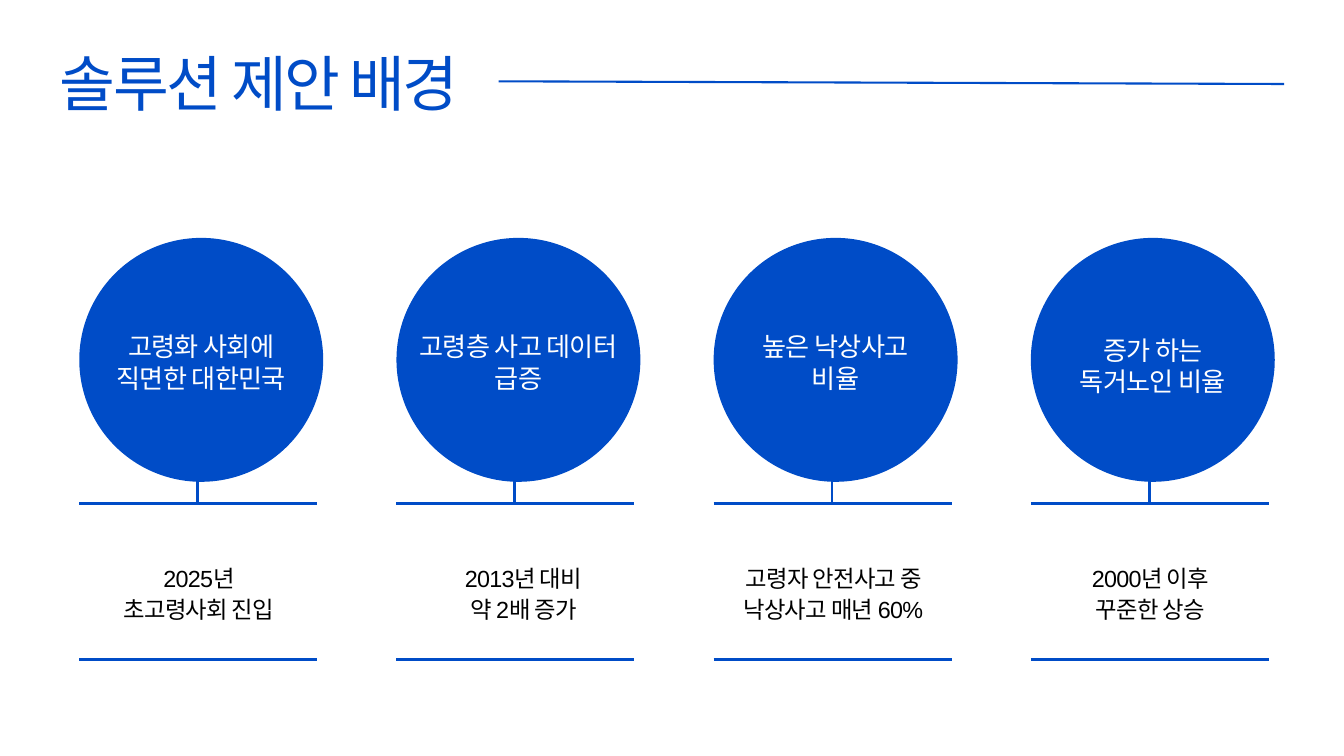
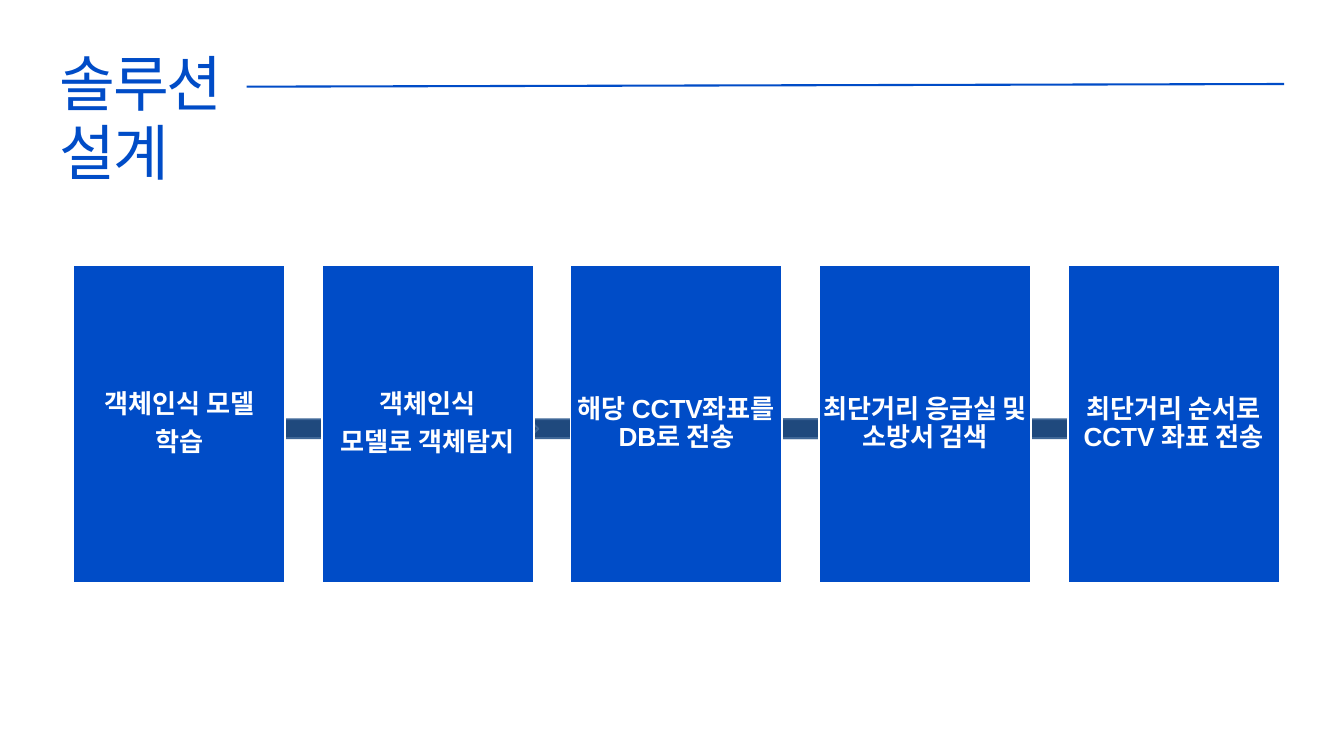
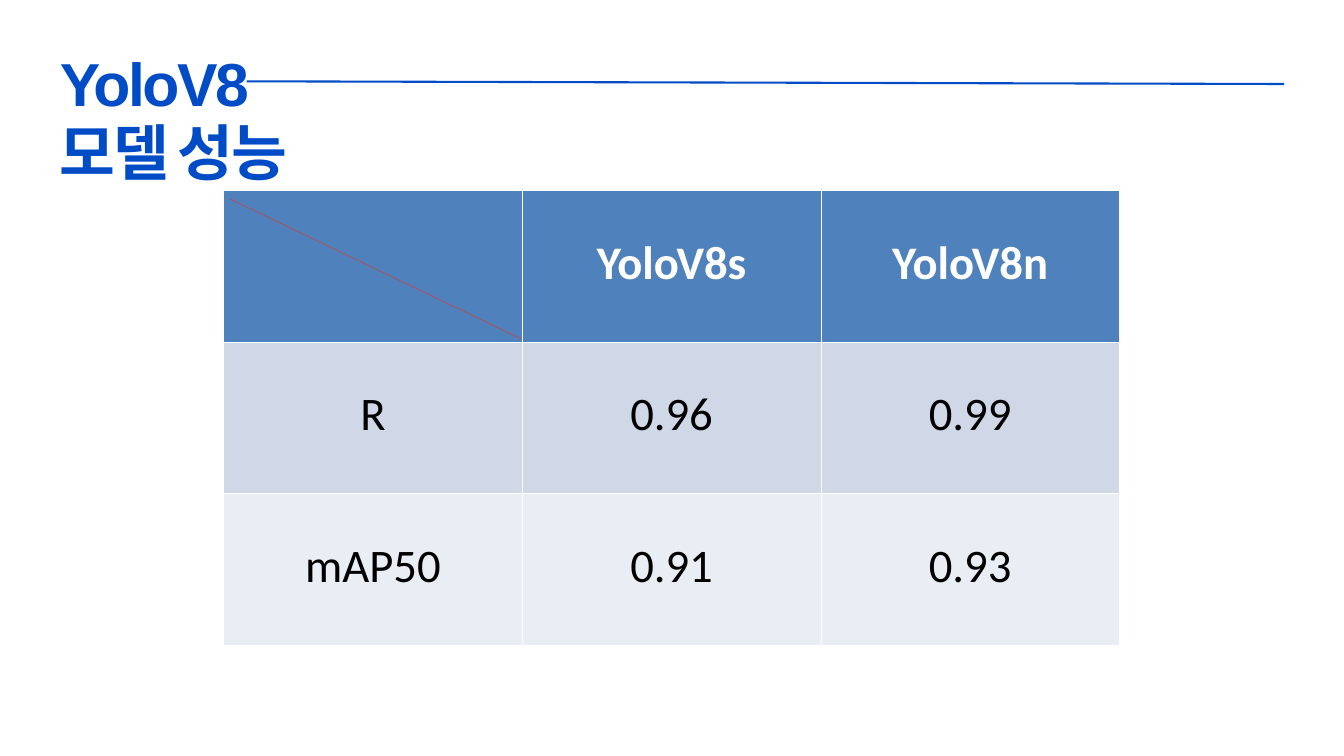
from lxml import etree
from pptx import Presentation
from pptx import util as u
from pptx.dml.color import RGBColor
from pptx.enum import shapes, text
from pptx.oxml.ns import qn

BLUE = "004CC7"
WHITE = "FFFFFF"
BLACK = "000000"


def rgb(value):
    """Turn a hex string into a colour."""
    return RGBColor.from_string(value)


class Deck:
    """Hold the shared style and the slide being built."""

    def __init__(self):
        self.presentation = Presentation()
        self.presentation.slide_width = u.Inches(20)
        self.presentation.slide_height = u.Inches(11.25)
        self.slide = None

    def new_slide(self, title, rule_start, font="Calibri", bold=False):
        """Add a slide with its title and the rule beside it."""
        layout = self.presentation.slide_layouts[6]
        self.slide = self.presentation.slides.add_slide(layout)
        height = 1.05 * len(title.split("\n"))
        self.text_box(title, 0.89, 0.72, 10.81, height, size=65, font=font,
                      color=BLUE, bold=bold, align=text.PP_ALIGN.LEFT,
                      line_spacing=u.Pt(74.8), tracking=-2.6)
        self.line(*rule_start, 19.11, 1.25, width=2.25)

    def fill_text(self, frame, content, size, font, color, bold=False,
                  align=text.PP_ALIGN.CENTER, line_spacing=None,
                  space_after=None, tracking=0):
        """Fill a text frame and format every paragraph."""
        frame.text = content
        for paragraph in frame.paragraphs:
            paragraph.alignment = align
            paragraph.line_spacing = line_spacing
            paragraph.space_after = space_after
            for run in paragraph.runs:
                run.font.size = u.Pt(size)
                run.font.name = font
                run.font.bold = bold
                run.font.color.rgb = rgb(color)
                if tracking:
                    run.font._element.set("spc", str(round(tracking * 100)))

    def set_margins(self, frame, margin):
        """Wrap the text and set four equal margins."""
        frame.word_wrap = True
        frame.margin_left = frame.margin_right = u.Inches(margin)
        frame.margin_top = frame.margin_bottom = u.Inches(margin)

    def text_box(self, content, left, top, width, height, **style):
        """Add a text box without margins."""
        box = self.slide.shapes.add_textbox(
            u.Inches(left), u.Inches(top), u.Inches(width), u.Inches(height))
        self.set_margins(box.text_frame, 0)
        self.fill_text(box.text_frame, content, **style)

    def shape(self, kind, left, top, width, height, fill=BLUE, outline=None):
        """Add a filled preset shape, outlined if a colour is given."""
        shape = self.slide.shapes.add_shape(
            kind, u.Inches(left), u.Inches(top), u.Inches(width), u.Inches(height))
        shape.shadow.inherit = False
        shape.fill.solid()
        shape.fill.fore_color.rgb = rgb(fill)
        if outline:
            shape.line.color.rgb = rgb(outline)
            shape.line.width = u.Pt(2)
        else:
            shape.line.fill.background()
        return shape

    def line(self, x1, y1, x2, y2, width=3, color=BLUE):
        """Add a straight line without a shadow."""
        line = self.slide.shapes.add_connector(
            shapes.MSO_CONNECTOR.STRAIGHT,
            u.Inches(x1), u.Inches(y1), u.Inches(x2), u.Inches(y2))
        line.line.color.rgb = rgb(color)
        line.line.width = u.Pt(width)
        etree.SubElement(line._element.spPr, qn("a:effectLst"))

    def table(self, rows, left, top, width, height, fills):
        """Add a table with a bold header and one fill for each row."""
        table = self.slide.shapes.add_table(
            len(rows), len(rows[0]), u.Inches(left), u.Inches(top),
            u.Inches(width), u.Inches(height)).table
        for row, (values, fill) in enumerate(zip(rows, fills)):
            for column, value in enumerate(values):
                cell = table.cell(row, column)
                cell.fill.solid()
                cell.fill.fore_color.rgb = rgb(fill)
                cell.vertical_anchor = text.MSO_ANCHOR.MIDDLE
                cell.margin_bottom = u.Inches(0.14)
                self.fill_text(cell.text_frame, value, size=50, font="Calibri",
                               color=BLACK if row else WHITE, bold=row == 0)


def build_background(deck):
    """Build the slide with four reasons in circles."""
    deck.new_slide("솔루션 제안 배경", (7.42, 1.21))
    reasons = [
        ("고령화 사회에\n직면한 대한민국", "Calibri", 4.92,
         "2025년\n초고령사회 진입", 1.19),
        ("고령층 사고 데이터\n급증", "Calibri", 4.92,
         "2013년 대비\n약 2배 증가", 6.02),
        ("높은 낙상사고\n비율", "Calibri", 4.92,
         "고령자 안전사고 중 낙상사고 매년 60%", 10.63),
        ("증가 하는\n독거노인 비율", "Arial", 4.97,
         "2000년 이후\n꾸준한 상승", 15.35),
    ]
    spacing = {"line_spacing": u.Pt(33.6), "tracking": -0.7}
    for index, (label, font, label_top, caption, caption_left) in enumerate(reasons):
        left = 1.18 + 4.72 * index
        deck.shape(shapes.MSO_SHAPE.OVAL, left, 3.54, 3.63, 3.63)
        for y in (7.49, 9.81):
            deck.line(left, y, left + 3.54, y)
        deck.line(left + 1.76, 7.49, left + 1.76, 7.07)
        deck.text_box(label, left, label_top, 3.63, 0.94, size=28, font=font,
                      color=WHITE, **spacing)
        deck.text_box(caption, caption_left, 8.34, 3.54, 1.29, size=25,
                      font="Arial", color=BLACK, **spacing)


def build_design(deck):
    """Build the slide with the five process steps."""
    deck.new_slide("솔루션\n설계", (3.67, 1.29))
    for left in (7.74, 10.66, 1.92):
        deck.shape(shapes.MSO_SHAPE.RIGHT_ARROW, left, 6.1, 6.09, 0.56,
                   fill="1F497D", outline="3F6797")
    steps = [
        "객체인식 모델\n학습",
        "객체인식\n모델로 객체탐지",
        "해당 CCTV좌표를 DB로 전송",
        "최단거리 응급실 및 소방서 검색",
        "최단거리 순서로 CCTV 좌표 전송",
    ]
    for index, step in enumerate(steps):
        box = deck.shape(shapes.MSO_SHAPE.FLOWCHART_PROCESS, 1.09 + 3.7 * index,
                         3.95, 3.15, 4.72, outline=WHITE)
        frame = box.text_frame
        deck.set_margins(frame, 0.04)
        frame.vertical_anchor = text.MSO_ANCHOR.MIDDLE
        deck.fill_text(frame, step, size=28, font="Arial", color=WHITE, bold=True,
                       line_spacing=0.9, space_after=u.Pt(10))


def build_performance(deck):
    """Build the slide with the model scores."""
    deck.new_slide("YoloV8\n모델 성능", (3.67, 1.21), font="Arial", bold=True)
    scores = [
        ("", "YoloV8s", "YoloV8n"),
        ("R", "0.96", "0.99"),
        ("mAP50", "0.91", "0.93"),
    ]
    deck.table(scores, 3.33, 2.83, 13.33, 6.78, ("4F81BD", "D0D8E8", "E9EDF4"))
    deck.line(3.42, 2.96, 7.75, 5.04, width=0.75, color="BF4C48")


def main():
    """Build the three slides and save them."""
    deck = Deck()
    build_background(deck)
    build_design(deck)
    build_performance(deck)
    deck.presentation.save("out.pptx")


if __name__ == "__main__":
    main()
